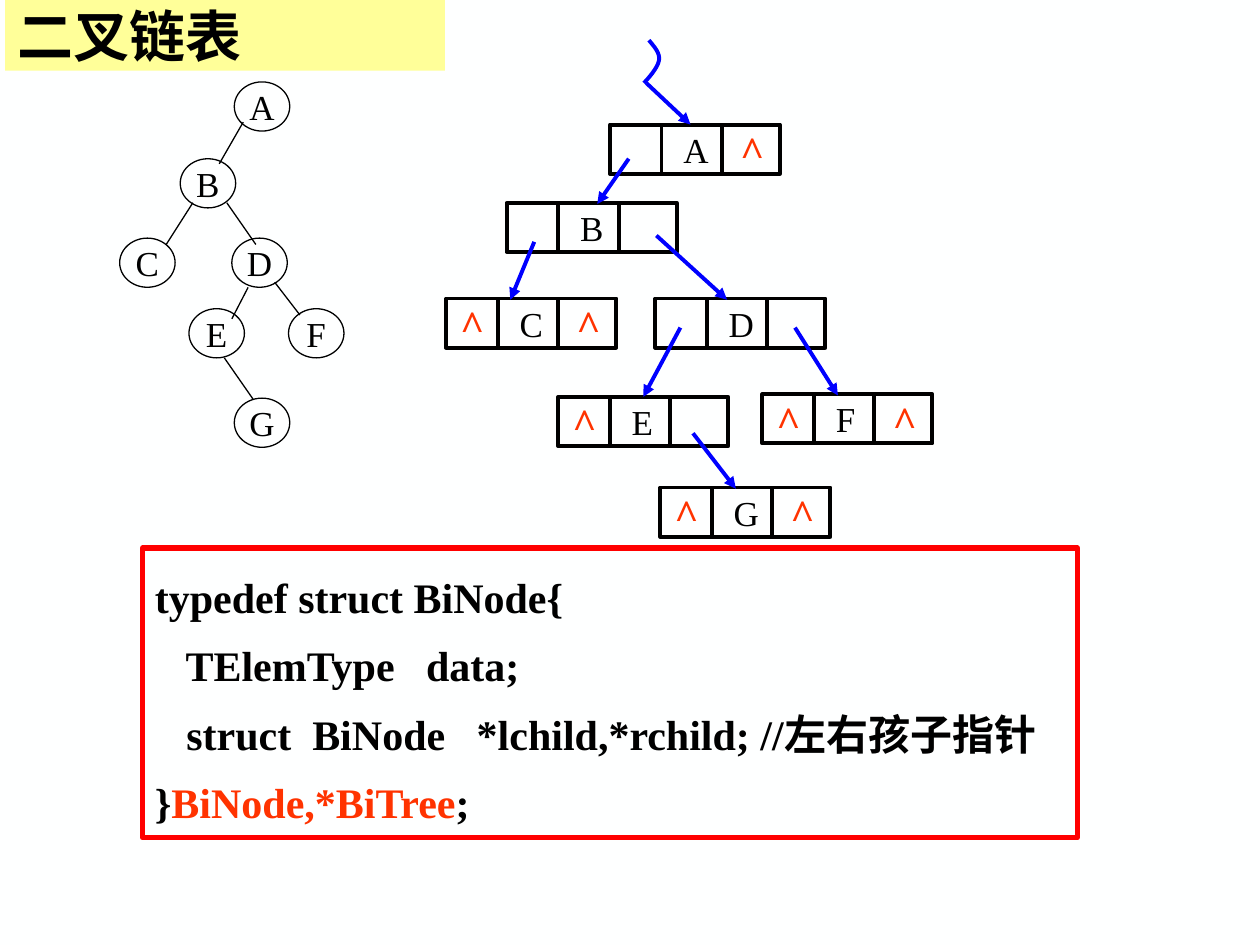
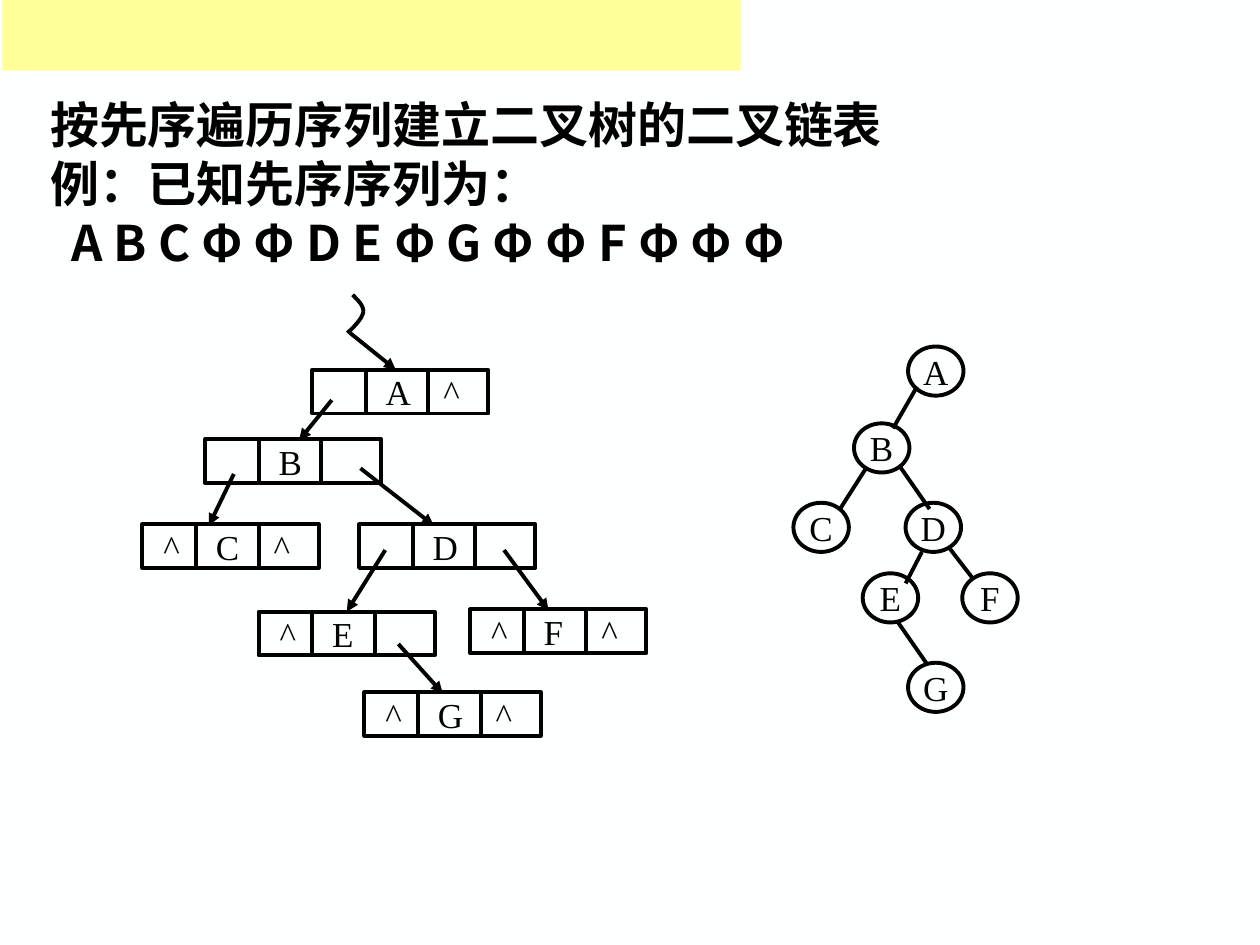
from lxml import etree
from pptx import Presentation
from pptx.dml.color import RGBColor as RGB
from pptx.enum.shapes import MSO_CONNECTOR as LINE, MSO_SHAPE as SHAPE
from pptx.enum.text import MSO_ANCHOR as ANCHOR, MSO_AUTO_SIZE as AUTO, PP_ALIGN as ALIGN
from pptx.oxml.ns import qn
from pptx.util import Pt

PAPER = RGB(0xFE, 0xFF, 0xFF)
BLACK = RGB(0, 0, 0)
BLUE = RGB(0, 0, 0xFF)
RED = RGB(0xFF, 0, 0)
ORANGE = RGB(0xFF, 0x33, 0)
YELLOW = RGB(0xFF, 0xFF, 0x99)
SERIF = "Times New Roman"
HAN = "Noto Sans CJK SC"
BOLD_LINE = 2.25

# Tree: circle corners and edge ends, from the tree's top left
CIRCLE_W, CIRCLE_H = 31.7, 28.1
CIRCLES = {
    "A": (65.5, 0), "B": (34.6, 43.9), "C": (0, 89.3), "D": (64.1, 89.3),
    "E": (39.6, 129.6), "F": (96.5, 129.6), "G": (65.5, 180.7),
}
EDGES = [
    (70.6, 23, 56.9, 46.8), (41.8, 69.1, 26.6, 92.9), (61.2, 69.1, 77.8, 92.9),
    (73.4, 117.4, 64.1, 135.4), (88.6, 114.5, 103, 133.2), (59.8, 157.7, 76.3, 181.4),
]

# Linked list: drawn on a base grid, then scaled into its box
BASE_W, BASE_H = 277.9, 283.7
CELL_W, CELL_H = 97.2, 28.1
SPLITS = (29.5, 64.1)
# letter: (x, y, left is nil, right is nil)
NODES = {
    "A": (93.6, 48.2, False, True), "B": (34.6, 92.9, False, False),
    "C": (0, 147.6, True, True), "D": (119.5, 147.6, False, False),
    "E": (64.1, 203.8, True, False), "F": (180.7, 202.3, True, True),
    "G": (122.4, 255.6, True, True),
}
# node pointed at: arrow start and end
LINKS = {
    "B": (104.4, 67.7, 86.4, 93.6), "C": (50.4, 115.2, 36.7, 148.3),
    "D": (120.2, 111.6, 160.6, 148.3), "E": (133.9, 164.2, 111.6, 203),
    "F": (199.4, 164.2, 223.9, 203), "G": (141.1, 224.6, 165.6, 256.3),
    "A": (114.5, 24.5, 139.7, 48.2),
}
CURL = [
    ((115.9, 0), (118.8, 3.6), (122.4, 7.2), (121.7, 11.5)),
    ((121.7, 11.5), (121, 15.8), (115.2, 22.3), (113, 24.5)),
]
TEXT_X, LETTER_X, NIL_X = 12, 42, 75


def add_run(para, text, size, font=SERIF, color=BLACK, bold=False):
    run = para.add_run()
    run.text = text
    run.font.size, run.font.bold, run.font.name = Pt(size), bold, font
    run.font.color.rgb = color
    east = etree.SubElement(run.font._element, qn("a:ea"))
    east.set("typeface", HAN)


def set_frame(shape, pad=(0, 0, 0, 0), anchor=ANCHOR.MIDDLE, wrap=True):
    """Set insets (left, top, right, bottom) and return the text frame."""
    frame = shape.text_frame
    frame.word_wrap, frame.auto_size = wrap, AUTO.NONE
    frame.vertical_anchor = anchor
    frame.margin_left, frame.margin_top, frame.margin_right, frame.margin_bottom = map(Pt, pad)
    return frame


def paint(shape, fill=None, line=None, width=BOLD_LINE):
    shape.shadow.inherit = False
    if fill is None:
        shape.fill.background()
    else:
        shape.fill.solid()
        shape.fill.fore_color.rgb = fill
    if line is None:
        shape.line.fill.background()
    else:
        shape.line.color.rgb = line
        shape.line.width = Pt(width)


def add_box(slide, kind, x, y, w, h, **look):
    shape = slide.shapes.add_shape(kind, Pt(x), Pt(y), Pt(w), Pt(h))
    paint(shape, **look)
    return shape


def add_line(slide, ends, color=BLACK, width=BOLD_LINE, arrow=False):
    line = slide.shapes.add_connector(LINE.STRAIGHT, *map(Pt, ends))
    line.line.color.rgb, line.line.width = color, Pt(width)
    if arrow:
        tail = etree.SubElement(line.line._get_or_add_ln(), qn("a:tailEnd"))
        tail.set("type", "triangle")
    etree.SubElement(line._element.spPr, qn("a:effectLst"))
    return line


def add_tree(slide, left, top, width):
    for name, (x, y) in CIRCLES.items():
        node = add_box(slide, SHAPE.OVAL, left + x, top + y, CIRCLE_W, CIRCLE_H,
                       line=BLACK, width=width)
        para = set_frame(node, wrap=False).paragraphs[0]
        para.alignment = ALIGN.CENTER
        add_run(para, name, 20)
    for x1, y1, x2, y2 in EDGES:
        add_line(slide, (left + x1, top + y1, left + x2, top + y2), width=width)


def add_nil(slide, x, y):
    """Add a large nil mark over a node's cell."""
    box = slide.shapes.add_textbox(Pt(x), Pt(y), Pt(28.8), Pt(36))
    para = set_frame(box, wrap=False).paragraphs[0]
    para.alignment = ALIGN.CENTER
    add_run(para, "^", 24, color=ORANGE, bold=True)


def add_cell(slide, name, x, y, w, h, nils, large):
    """Add a three-part node; nil marks are large boxes or part of its text."""
    cell = add_box(slide, SHAPE.RECTANGLE, x, y, w, h, line=BLACK)
    for split in SPLITS:
        mid = x + split * w / CELL_W
        add_line(slide, (mid, y, mid, y + h))
    para = set_frame(cell, pad=(TEXT_X, 0, 0, 0)).paragraphs[0]
    para.alignment = ALIGN.LEFT
    tabs = etree.SubElement(para._p.get_or_add_pPr(), qn("a:tabLst"))
    for stop in (LETTER_X, NIL_X):
        tab = etree.SubElement(tabs, qn("a:tab"))
        tab.set("pos", str(Pt(stop - TEXT_X)))
        tab.set("algn", "l")
    left, right = nils
    text = "\t" + name
    if not large:
        text = ("^" if left else "") + text + ("\t^" if right else "")
    add_run(para, text, 20)
    if large:
        for shown, shift in ((left, 0.7), (right, 67)):
            if shown:
                add_nil(slide, x + shift, y - 3.6)
    return cell


def bend(curve, steps=8):
    """Return points along a cubic curve."""
    points = []
    for i in range(steps + 1):
        t = i / steps
        parts = ((1 - t) ** 3, 3 * t * (1 - t) ** 2, 3 * t * t * (1 - t), t ** 3)
        points.append(tuple(sum(p * c[axis] for p, c in zip(parts, curve)) for axis in (0, 1)))
    return points


def add_list(slide, left, top, w, h, color, large):
    """Draw the linked list scaled into the given box."""
    sx, sy = w / BASE_W, h / BASE_H

    def place(x, y):
        return left + x * sx, top + y * sy

    cells = {}
    for name, (x, y, *nils) in NODES.items():
        cells[name] = add_cell(slide, name, *place(x, y), CELL_W * sx, CELL_H * sy, nils, large)
    for name, (x1, y1, x2, y2) in LINKS.items():
        arrow = add_line(slide, place(x1, y1) + place(x2, y2), color, arrow=True)
        if abs(NODES[name][0] + CELL_W / 2 - x2) < 1.5:
            arrow.end_connect(cells[name], 0)
    points = [tuple(map(Pt, place(*p))) for curve in CURL for p in bend(curve)]
    path = slide.shapes.build_freeform(*points[0])
    path.add_line_segments(points[1:], close=False)
    paint(path.convert_to_shape(), line=color)


def add_title(slide, text, left, width):
    title = slide.shapes.title
    title.left, title.top, title.width, title.height = map(Pt, (left, 0, width, 40.4))
    title.fill.solid()
    title.fill.fore_color.rgb = YELLOW
    para = set_frame(title, pad=(7.2, 3.6, 7.2, 3.6)).paragraphs[0]
    para.alignment = ALIGN.LEFT
    add_run(para, text, 32, HAN, bold=True)


def add_lines(frame, lines, pitch, size, font):
    """Fill a frame with paragraphs, each a list of (text, colour) runs."""
    for i, runs in enumerate(lines):
        para = frame.paragraphs[0] if i == 0 else frame.add_paragraph()
        para.alignment, para.line_spacing = ALIGN.LEFT, Pt(pitch)
        for text, color in runs:
            add_run(para, text, size, font, color, bold=True)


def add_code(slide, left, top, w, h):
    box = add_box(slide, SHAPE.RECTANGLE, left, top, w, h, line=RED, width=3)
    frame = set_frame(box, pad=(7.2, 3.6, 7.2, 3.6), anchor=ANCHOR.TOP)
    add_lines(frame, [
        [("typedef struct BiNode{", BLACK)],
        [("   TElemType   data;", BLACK)],
        [("   struct  BiNode   *lchild,*rchild; //左右孩子指针", BLACK)],
        [("}", BLACK), ("BiNode,*BiTree", ORANGE), (";", BLACK)],
    ], 38.9, 24, SERIF)


def add_task(slide, left, top, w, h):
    box = slide.shapes.add_textbox(Pt(left), Pt(top), Pt(w), Pt(h))
    frame = set_frame(box, pad=(7.2, 6, 7.2, 3.6), anchor=ANCHOR.TOP)
    add_lines(frame, [
        [("按先序遍历序列建立二叉树的二叉链表", BLACK)],
        [("例：已知先序序列为：", BLACK)],
        [("A B C Φ Φ D E Φ G Φ Φ F Φ Φ Φ", BLACK)],
    ], 33.7, 28, HAN)
    frame.paragraphs[-1]._p.get_or_add_pPr().set("marL", str(Pt(12)))


def build_struct(deck):
    slide = deck.slides.add_slide(deck.slide_layouts[5])
    add_title(slide, "二叉链表", 2.9, 251.3)
    add_tree(slide, 68.4, 46.8, 0.75)
    add_list(slide, 254.9, 23, BASE_W, BASE_H, BLUE, large=True)
    add_code(slide, 81.4, 313.2, 534.2, 165.6)


def build_task(deck):
    slide = deck.slides.add_slide(deck.slide_layouts[6])
    add_tree(slide, 453.4, 198, BOLD_LINE)
    add_list(slide, 81.4, 168.5, 288, 252, BLACK, large=False)
    add_task(slide, 21.6, 48.2, 679, 108)
    add_box(slide, SHAPE.RECTANGLE, 1.4, 0, 421.9, 40.4, fill=YELLOW)


def main():
    deck = Presentation()
    deck.slide_width, deck.slide_height = Pt(720), Pt(540)
    back = deck.slide_master.background.fill
    back.solid()
    back.fore_color.rgb = PAPER
    build_struct(deck)
    build_task(deck)
    deck.save("out.pptx")


if __name__ == "__main__":
    main()
